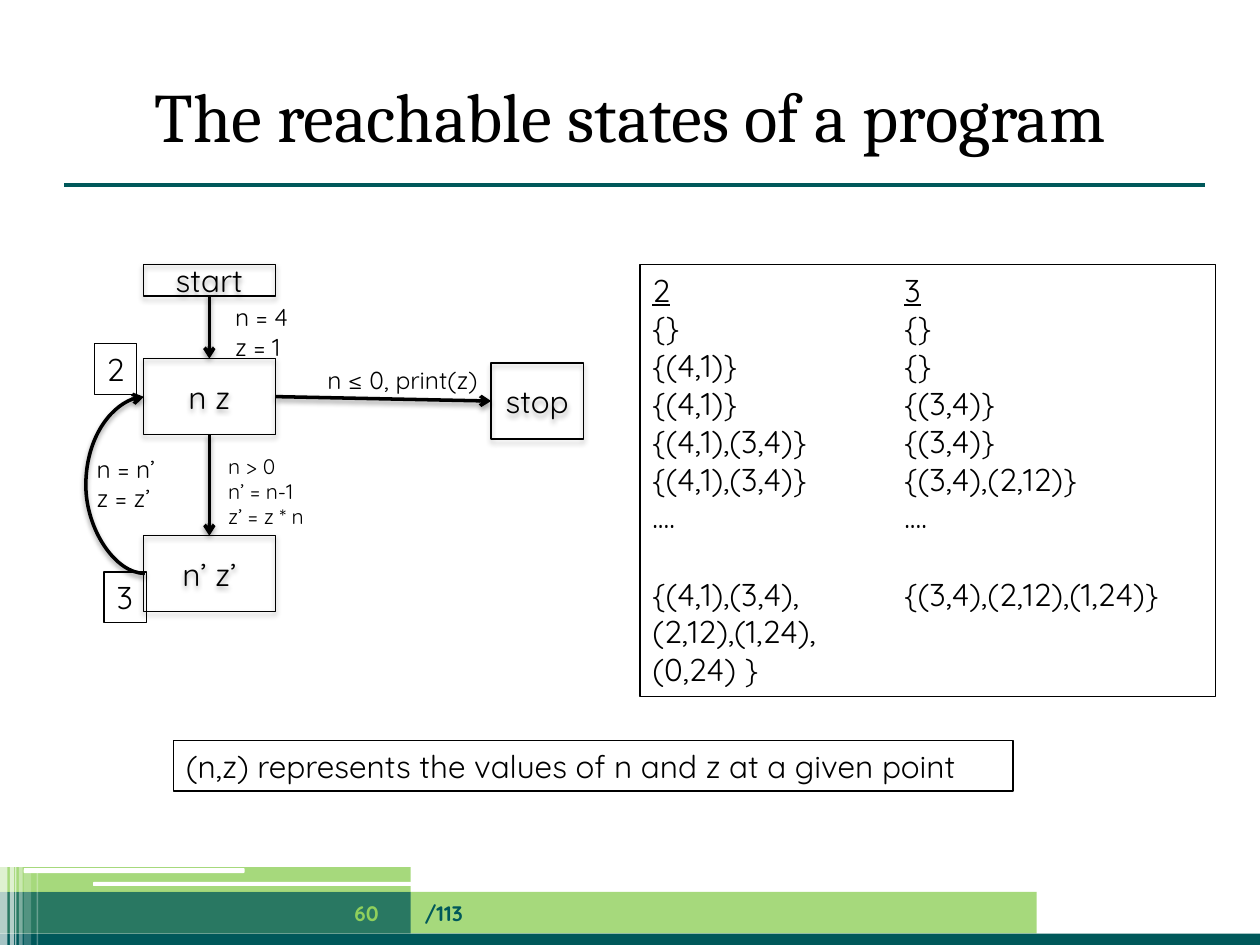
from lxml import etree
from pptx import Presentation
from pptx.dml.color import RGBColor
from pptx.enum.shapes import MSO_CONNECTOR, MSO_SHAPE
from pptx.enum.text import MSO_ANCHOR, PP_ALIGN
from pptx.oxml.ns import qn
from pptx.util import Cm, Pt

RECT = MSO_SHAPE.RECTANGLE
ROUNDED = MSO_SHAPE.ROUNDED_RECTANGLE
STRAIGHT = MSO_CONNECTOR.STRAIGHT
CURVE = MSO_CONNECTOR.CURVE
MIDDLE, TOP_ANCHOR = MSO_ANCHOR.MIDDLE, MSO_ANCHOR.TOP
CENTER, LEFT_ALIGN = PP_ALIGN.CENTER, PP_ALIGN.LEFT
TOP, LEFT, BOTTOM, RIGHT = range(4)

COLORS = {"ink": "000000", "teal": "00585A", "green": "90D05C", "white": "FFFFFF"}
BODY_FONT, TITLE_FONT = "Quicksand", "Cambria"
SLIDE_HEIGHT = 19.05

STRIPES = [
    (0, 17.42, 0.15, 65),
    (0.2, 17.42, 0.08, 65),
    (0.3, 17.42, 0.03, 60),
    (0.38, 17.42, 0.08, 40),
    (0.48, 17.53, 0.15, 20),
    (0.74, 17.53, 0.03, 30),
]
TRACE = [
    ("2", "3"),
    ("{}", "{}"),
    ("{(4,1)}", "{}"),
    ("{(4,1)}", "{(3,4)}"),
    ("{(4,1),(3,4)}", "{(3,4)}"),
    ("{(4,1),(3,4)}", "{(3,4),(2,12)}"),
    ("....", "...."),
    ("{(4,1),(3,4),", "{(3,4),(2,12),(1,24)}"),
    ("(2,12),(1,24),",),
    ("(0,24) }",),
]
FINAL_STATES_ROW = 7


def rgb(name):
    return RGBColor.from_string(COLORS[name])


def cms(*lengths):
    return [Cm(length) for length in lengths]


def style(paragraph, size, color="ink", font=BODY_FONT, bold=False, align=LEFT_ALIGN):
    paragraph.alignment = align
    paragraph.font.name = font
    paragraph.font.size = Pt(size)
    paragraph.font.bold = bold
    paragraph.font.color.rgb = rgb(color)


def outline(shape):
    shape.line.color.rgb = rgb("ink")
    shape.line.width = Pt(0.75)


def add_shadow(shape, opacity, distance):
    effects = shape._element.spPr.find(qn("a:effectLst"))
    if effects is None:
        effects = etree.SubElement(shape._element.spPr, qn("a:effectLst"))
    shadow = etree.SubElement(
        effects, qn("a:outerShdw"), blurRad=str(Pt(3.1)), dist=str(Pt(distance)),
        dir="5400000", rotWithShape="0")
    color = etree.SubElement(shadow, qn("a:srgbClr"), val=COLORS["ink"])
    etree.SubElement(color, qn("a:alpha"), val=str(opacity * 1000))


def add_band(slide, box, color, opacity=100, kind=RECT):
    band = slide.shapes.add_shape(kind, *cms(*box))
    band.shadow.inherit = False
    band.line.fill.background()
    band.fill.solid()
    band.fill.fore_color.rgb = rgb(color)
    if opacity < 100:
        fill_color = band._element.spPr.find(qn("a:solidFill"))[0]
        etree.SubElement(fill_color, qn("a:alpha"), val=str(opacity * 1000))


def add_text(slide, box, lines, size, anchor=TOP_ANCHOR, wrap=False, **look):
    label = slide.shapes.add_textbox(*cms(*box))
    frame = label.text_frame
    frame.word_wrap = wrap
    frame.vertical_anchor = anchor
    frame.text = lines
    for paragraph in frame.paragraphs:
        style(paragraph, size, **look)
    return label


def add_state(slide, box, name):
    state = slide.shapes.add_shape(RECT, *cms(*box))
    state.shadow.inherit = False
    state.fill.background()
    outline(state)
    add_shadow(state, 35, 1.8)
    state.text_frame.vertical_anchor = MIDDLE
    state.text_frame.text = name
    style(state.text_frame.paragraphs[0], 18, align=CENTER)
    return state


def finish_arrow(arrow):
    arrow.line.color.rgb = rgb("ink")
    arrow.line.width = Pt(2)
    line = arrow._element.spPr.find(qn("a:ln"))
    etree.SubElement(line, qn("a:tailEnd"), type="arrow")
    add_shadow(arrow, 38, 1.6)


def add_transition(slide, source, source_side, target, target_side):
    arrow = slide.shapes.add_connector(STRAIGHT, 0, 0, 0, 0)
    arrow.begin_connect(source, source_side)
    arrow.end_connect(target, target_side)
    finish_arrow(arrow)


def add_loop_back(slide):
    width, bulge = 0.02, 1.19
    loop = slide.shapes.add_connector(CURVE, *cms(2.9, 8, 2.9 + width, 11.56))
    properties = loop._element.spPr
    properties.find(qn("a:xfrm")).set("rot", "10800000")
    guides = properties.find(qn("a:prstGeom")).find(qn("a:avLst"))
    bend = round(bulge / width * 100000)
    etree.SubElement(guides, qn("a:gd"), name="adj1", fmla=f"val {bend}")
    finish_arrow(loop)


def add_trace(slide):
    trace = slide.shapes.add_textbox(*cms(12.9, 5.33, 11.61, 8.71))
    outline(trace)
    frame = trace.text_frame
    frame.word_wrap = True
    for index, row in enumerate(TRACE):
        paragraph = frame.paragraphs[0] if index == 0 else frame.add_paragraph()
        style(paragraph, 18)
        for column, states in enumerate(row):
            if column:
                paragraph.add_run().text = "\t"
            entry = paragraph.add_run()
            entry.text = states
            if index == 0:
                entry.font.underline = True
        if index == FINAL_STATES_ROW:
            paragraph.space_before = Pt(22.5)
        stops = etree.Element(qn("a:tabLst"))
        etree.SubElement(stops, qn("a:tab"), pos=str(Cm(5.08)), algn="l")
        paragraph._p.pPr.find(qn("a:defRPr")).addprevious(stops)


def add_footer(slide):
    add_band(slide, (0, 17.98, 20.9, 0.84), "green", 80)
    add_band(slide, (0, 18.82, 25.4, 0.23), "teal")
    add_band(slide, (0, 17.98, 8.28, 0.84), "teal", 75)
    add_band(slide, (0, 17.48, 8.28, 0.5), "green", 80)
    add_band(slide, (1.88, 17.78, 8.51, 0.08), "white", kind=ROUNDED)
    add_band(slide, (0.48, 17.5, 4.45, 0.1), "white", kind=ROUNDED)
    for left, top, width, opacity in STRIPES:
        add_band(slide, (left, top, width, SLIDE_HEIGHT - top), "white", opacity)
    add_text(slide, (8.31, 17.9, 12.6, 1), "/113", 12, MIDDLE, True,
             color="teal", bold=True)
    add_text(slide, (6.5, 17.9, 1.78, 1), "60", 12, MIDDLE, True,
             color="green", bold=True, align=CENTER)


def add_heading(slide):
    rule = slide.shapes.add_connector(STRAIGHT, *cms(1.3, 3.73, 24.3, 3.73))
    rule.line.color.rgb = rgb("teal")
    rule.line.width = Pt(2.25)
    etree.SubElement(rule._element.spPr, qn("a:effectLst"))
    add_text(slide, (1.27, 1.12, 22.86, 2.39), "The reachable states of a program",
             39.6, MIDDLE, True, font=TITLE_FONT, align=CENTER)


def add_flow_graph(slide):
    start = add_state(slide, (2.89, 5.33, 2.66, 0.64), "start")
    loop_head = add_state(slide, (2.89, 7.23, 2.66, 1.53), "n z")
    loop_body = add_state(slide, (2.89, 10.8, 2.66, 1.53), "n’ z’")
    stop = add_state(slide, (9.9, 7.32, 1.86, 1.53), "stop")
    add_transition(slide, start, BOTTOM, loop_head, TOP)
    add_transition(slide, loop_head, BOTTOM, loop_body, TOP)
    add_transition(slide, loop_head, RIGHT, stop, LEFT)
    add_loop_back(slide)
    add_text(slide, (4.49, 5.97, 1.68, 1.45), "n = 4\nz = 1", 14)
    add_text(slide, (4.35, 9.02, 2.2, 1.8), "n > 0\nn’ = n-1\nz’ = z * n", 12)
    add_text(slide, (1.7, 9.02, 1.88, 1.45), "n = n’\nz = z’", 14)
    add_text(slide, (6.35, 7.23, 3.55, 0.86), "n ≤ 0, print(z)", 14)
    outline(add_text(slide, (1.9, 6.93, 0.86, 1.02), "2", 18))
    outline(add_text(slide, (2.1, 11.53, 0.86, 1.02), "3", 18))


def main():
    deck = Presentation()
    deck.slide_width, deck.slide_height = cms(25.4, SLIDE_HEIGHT)
    slide = deck.slides.add_slide(deck.slide_layouts[6])
    add_footer(slide)
    add_heading(slide)
    add_flow_graph(slide)
    add_trace(slide)
    outline(add_text(slide, (3.5, 14.93, 16.92, 1.02),
                     "(n,z) represents the values of n and z at a given point",
                     18, wrap=True))
    deck.save("out.pptx")


if __name__ == "__main__":
    main()
